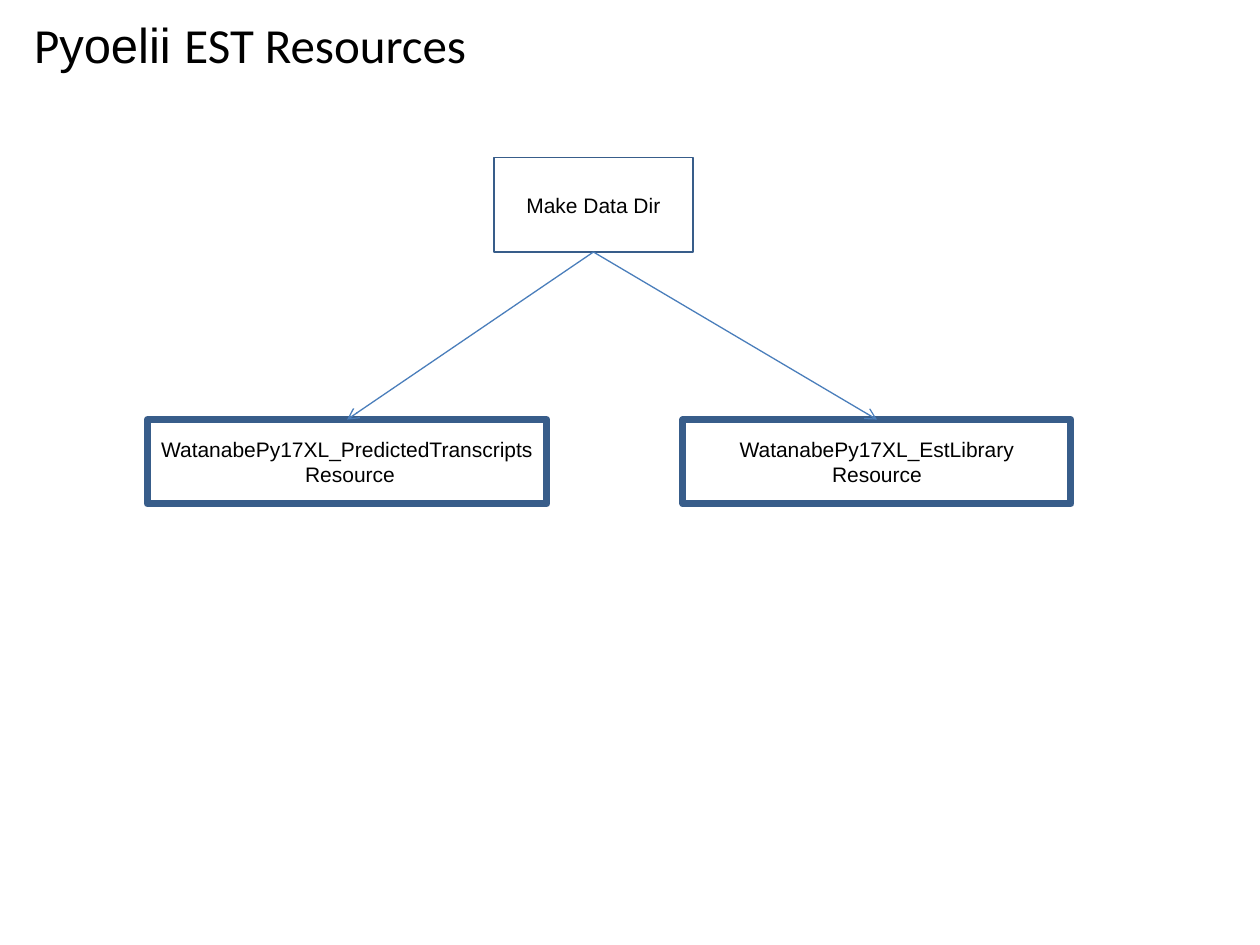
from dataclasses import dataclass

from lxml.etree import SubElement
from pptx import Presentation
from pptx.dml.color import RGBColor
from pptx.enum.shapes import MSO_CONNECTOR, MSO_SHAPE
from pptx.enum.text import MSO_ANCHOR, PP_ALIGN
from pptx.oxml.ns import qn
from pptx.util import Inches, Pt


@dataclass(frozen=True)
class Theme:
    text: RGBColor = RGBColor(0x00, 0x00, 0x00)
    border: RGBColor = RGBColor(0x38, 0x5D, 0x8A)
    arrow: RGBColor = RGBColor(0x4A, 0x7E, 0xBB)
    title_size: Pt = Pt(28)
    label_size: Pt = Pt(12)
    thin: Pt = Pt(1)
    thick: Pt = Pt(4)
    arrow_width: Pt = Pt(0.75)
    title_font: str = "Calibri"
    label_font: str = "Arial"


class Diagram:
    TOP_SITE, BOTTOM_SITE = 0, 2

    def __init__(self, page, theme):
        self.page = page
        self.theme = theme

    def style(self, span, font_name, size):
        span.font.name = font_name
        span.font.size = size
        span.font.color.rgb = self.theme.text

    def title(self, spans, left, top, width, height):
        """Fill the title placeholder from (text, font name) pairs."""
        box = self.page.shapes.title
        box.left, box.top = Inches(left), Inches(top)
        box.width, box.height = Inches(width), Inches(height)
        box.text_frame.vertical_anchor = MSO_ANCHOR.MIDDLE
        para = box.text_frame.paragraphs[0]
        para.alignment = PP_ALIGN.LEFT
        for text, font_name in spans:
            span = para.add_run()
            span.text = text
            self.style(span, font_name, self.theme.title_size)

    def box(self, text, left, top, width, height, border_width):
        box = self.page.shapes.add_shape(
            MSO_SHAPE.RECTANGLE, Inches(left), Inches(top), Inches(width), Inches(height)
        )
        box.shadow.inherit = False
        box.fill.background()
        box.line.color.rgb = self.theme.border
        box.line.width = border_width
        frame = box.text_frame
        frame.text = text
        frame.word_wrap = True
        frame.vertical_anchor = MSO_ANCHOR.MIDDLE
        for para in frame.paragraphs:
            para.alignment = PP_ALIGN.CENTER
            for span in para.runs:
                self.style(span, self.theme.label_font, self.theme.label_size)
        return box

    def arrow(self, parent, child):
        """Join the bottom of parent to the top of child."""
        arrow = self.page.shapes.add_connector(MSO_CONNECTOR.STRAIGHT, 0, 0, 0, 0)
        arrow.begin_connect(parent, self.BOTTOM_SITE)
        arrow.end_connect(child, self.TOP_SITE)
        arrow.line.color.rgb = self.theme.arrow
        arrow.line.width = self.theme.arrow_width
        SubElement(arrow.line._get_or_add_ln(), qn("a:tailEnd"), type="arrow")
        SubElement(arrow._element.spPr, qn("a:effectLst"))


def main():
    deck = Presentation()
    deck.slide_width, deck.slide_height = Inches(10), Inches(7.5)
    title_only = deck.slide_layouts[5]
    theme = Theme()
    diagram = Diagram(deck.slides.add_slide(title_only), theme)

    diagram.title(
        [("P", theme.title_font), ("yoelii ", theme.label_font), ("EST Resources", theme.title_font)],
        0.17, 0.08, 5.58, 0.53,
    )
    data_dir = diagram.box("Make Data Dir", 3.92, 1.25, 1.58, 0.75, theme.thin)
    resources = [
        ("WatanabePy17XL_PredictedTranscripts\n Resource", 1.17, 3.17),
        ("WatanabePy17XL_EstLibrary\nResource", 5.42, 3.08),
    ]
    for text, left, width in resources:
        resource = diagram.box(text, left, 3.33, width, 0.67, theme.thick)
        diagram.arrow(data_dir, resource)

    deck.save("out.pptx")


if __name__ == "__main__":
    main()
